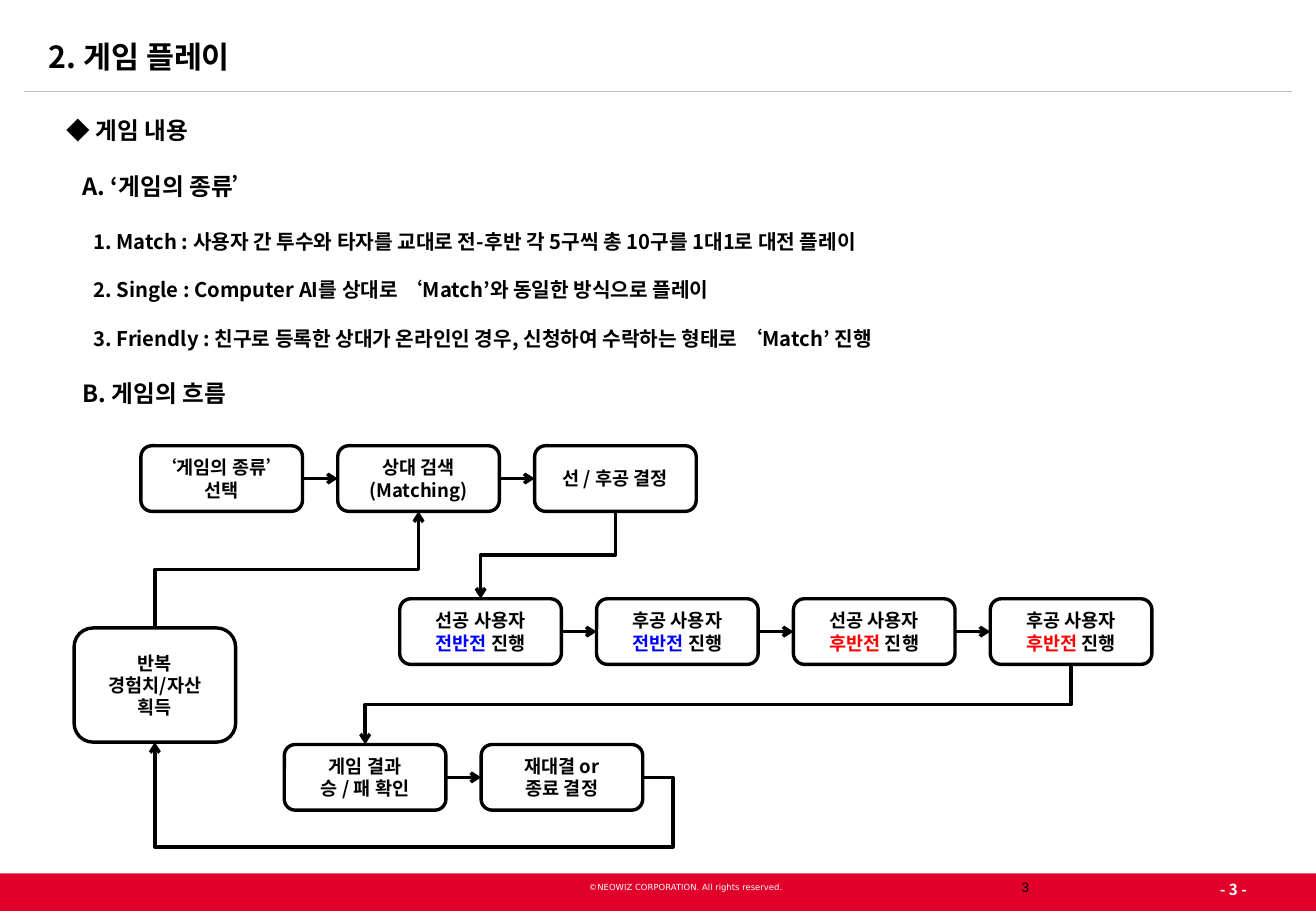
from lxml.etree import SubElement
from pptx import Presentation
from pptx.dml.color import RGBColor
from pptx.enum.shapes import MSO_CONNECTOR, MSO_SHAPE
from pptx.enum.text import MSO_ANCHOR, MSO_AUTO_SIZE, PP_ALIGN
from pptx.oxml.ns import qn
from pptx.util import Inches, Pt

THEME = {
    "ink": RGBColor(0, 0, 0), "paper": RGBColor(255, 255, 255),
    "first": RGBColor(0, 0, 255), "second": RGBColor(255, 0, 0),
    "band": RGBColor(225, 0, 42), "rule": RGBColor(191, 191, 191),
    "title": 18, "heading": 14, "item": 12, "step": 11, "page": 9, "number": 8, "legal": 5,
    "leading": 1.2, "stroke": 2, "hairline": 0.5,
    "korean": "Noto Sans CJK KR", "plain": "Arial", "fine": "DejaVu Sans",
}


def write(paragraph, text, size, color="ink", font="korean", bold=True):
    paragraph.line_spacing = Pt(THEME[size] * THEME["leading"])
    run = paragraph.add_run()
    run.text = text
    run.font.size, run.font.bold = Pt(THEME[size]), bold
    run.font.name = THEME[font]
    run.font.color.rgb = THEME[color]
    SubElement(run.font._element, qn("a:ea"), typeface=THEME[font])


def draw_line(kind, start, end, color, width):
    line = slide.shapes.add_connector(kind, *(Inches(v) for v in (*start, *end)))
    line.line.color.rgb, line.line.width = THEME[color], Pt(THEME[width])
    SubElement(line._element.spPr, qn("a:effectLst"))
    return line


deck = Presentation()
deck.slide_width, deck.slide_height = Inches(10.83), Inches(7.5)
slide = deck.slides.add_slide(deck.slide_layouts[1])

band = slide.shapes.add_shape(MSO_SHAPE.RECTANGLE, 0, Inches(7.19), deck.slide_width, Inches(0.31))
band.shadow.inherit = False
band.fill.solid()
band.fill.fore_color.rgb = THEME["band"]
band.line.fill.background()
draw_line(MSO_CONNECTOR.STRAIGHT, (0.2, 0.75), (10.63, 0.75), "rule", "hairline")

footer = [
    ((4.66, 7.26, 1.97, 0.15), 0, PP_ALIGN.CENTER, "©NEOWIZ CORPORATION. All rights reserved.",
     "legal", "paper", "fine", False),
    ((9.78, 7.2, 0.58, 0.24), 0.05, PP_ALIGN.RIGHT, "- 3 -", "page", "paper", "korean", True),
    ((8.31, 7.19, 2.53, 0.31), 0.05, PP_ALIGN.LEFT, "3", "number", "ink", "plain", False),
]
for place, inset, align, text, *style in footer:
    frame = slide.shapes.add_textbox(*map(Inches, place)).text_frame
    frame.word_wrap = True
    frame.margin_top = frame.margin_bottom = Inches(inset)
    frame.margin_left = frame.margin_right = Inches(inset * 2)
    frame.paragraphs[0].alignment = align
    write(frame.paragraphs[0], text, *style)

title, outline = slide.shapes.title, slide.placeholders[1]
for holder, place in ((title, (0.3, 0.26, 9, 0.4)), (outline, (0.45, 0.9, 9, 2.52))):
    holder.left, holder.top, holder.width, holder.height = map(Inches, place)
    holder.text_frame.word_wrap = True
    holder.text_frame.auto_size = MSO_AUTO_SIZE.NONE
    holder.text_frame.vertical_anchor = MSO_ANCHOR.TOP
heading = title.text_frame.paragraphs[0]
heading.alignment = PP_ALIGN.LEFT
write(heading, "2. 게임 플레이", "title")

entries = [
    ("◆ 게임 내용", "heading", 0, None),
    ("A. ‘게임의 종류’", "heading", 0.13, "heading"),
    ("1. Match : 사용자 간 투수와 타자를 교대로 전-후반 각 5구씩 총 10구를 1대1로 대전 플레이",
     "item", 0.22, "heading"),
    ("2. Single : Computer AI를 상대로 ‘Match’와 동일한 방식으로 플레이", "item", 0.22, "item"),
    ("3. Friendly : 친구로 등록한 상대가 온라인인 경우, 신청하여 수락하는 형태로 ‘Match’ 진행",
     "item", 0.22, "item"),
    ("B. 게임의 흐름", "heading", 0.13, "heading"),
]
for index, (text, size, indent, gap) in enumerate(entries):
    frame = outline.text_frame
    entry = frame.add_paragraph() if index else frame.paragraphs[0]
    entry.space_before = Pt(THEME[gap] * THEME["leading"] if gap else 0)
    properties = entry._p.get_or_add_pPr()
    properties.set("marL", str(Inches(indent)))
    properties.set("indent", "0")
    SubElement(properties, qn("a:buNone"))
    write(entry, text, size)

PITCH, STEP_WIDTH, STEP_HEIGHT = 1.62, 1.33, 0.54
flow_rows = [
    (1.16, 3.67, STEP_HEIGHT, {
        "kind": [["‘게임의 종류’"], ["선택"]],
        "matching": [["상대 검색"], ["(Matching)"]],
        "order": [["선 / 후공 결정"]]}),
    (3.29, 4.93, STEP_HEIGHT, {
        "first_lead": [["선공 사용자"], [("전반전", "first"), " 진행"]],
        "first_follow": [["후공 사용자"], [("전반전", "first"), " 진행"]],
        "second_lead": [["선공 사용자"], [("후반전", "second"), " 진행"]],
        "second_follow": [["후공 사용자"], [("후반전", "second"), " 진행"]]}),
    (2.34, 6.13, STEP_HEIGHT, {
        "result": [["게임 결과"], ["승 / 패 확인"]],
        "rematch": [["재대결 or"], ["종료 결정"]]}),
    (0.61, 5.17, 0.94, {"repeat": [["반복"], ["경험치/자산 획득"]]}),
]
steps = {}
for left, top, height, row in flow_rows:
    for column, (key, lines) in enumerate(row.items()):
        step = slide.shapes.add_shape(
            MSO_SHAPE.ROUNDED_RECTANGLE, Inches(left + column * PITCH), Inches(top),
            Inches(STEP_WIDTH), Inches(height))
        step.shadow.inherit = False
        step.fill.background()
        step.line.color.rgb, step.line.width = THEME["ink"], Pt(THEME["stroke"])
        frame = step.text_frame
        frame.word_wrap, frame.vertical_anchor = True, MSO_ANCHOR.MIDDLE
        for index, pieces in enumerate(lines):
            paragraph = frame.add_paragraph() if index else frame.paragraphs[0]
            paragraph.alignment = PP_ALIGN.CENTER
            for piece in pieces:
                text, color = (piece, "ink") if isinstance(piece, str) else piece
                write(paragraph, text, "step", color)
        steps[key] = step
steps["repeat"].fill.solid()
steps["repeat"].fill.fore_color.rgb = THEME["paper"]

TOP, LEFT, BOTTOM, RIGHT = range(4)
flow = [
    ("kind", RIGHT, "matching", LEFT), ("matching", RIGHT, "order", LEFT),
    ("order", BOTTOM, "first_lead", TOP), ("first_lead", RIGHT, "first_follow", LEFT),
    ("first_follow", RIGHT, "second_lead", LEFT), ("second_lead", RIGHT, "second_follow", LEFT),
    ("second_follow", BOTTOM, "result", TOP), ("result", RIGHT, "rematch", LEFT),
    ("rematch", RIGHT, "repeat", BOTTOM), ("repeat", TOP, "matching", BOTTOM),
]
for source, exit_side, target, entry_side in flow:
    straight = (exit_side, entry_side) == (RIGHT, LEFT)
    arrow = draw_line(MSO_CONNECTOR.STRAIGHT if straight else MSO_CONNECTOR.ELBOW,
                      (0, 0), (1, 1), "ink", "stroke")
    arrow.begin_connect(steps[source], exit_side)
    arrow.end_connect(steps[target], entry_side)
    properties = arrow._element.spPr
    SubElement(properties.find(qn("a:ln")), qn("a:tailEnd"), type="arrow")
    frame, geometry = properties.find(qn("a:xfrm")), properties.find(qn("a:prstGeom"))
    if exit_side in (TOP, BOTTOM):
        center_x, center_y = arrow.left + arrow.width // 2, arrow.top + arrow.height // 2
        arrow.width, arrow.height = arrow.height, arrow.width
        arrow.left, arrow.top = center_x - arrow.width // 2, center_y - arrow.height // 2
        frame.set("rot", "5400000")
        for flip in ("flipH", "flipV"):
            frame.set(flip, "1" if exit_side == TOP else "0")
    elif not straight:
        geometry.set("prst", "bentConnector4")
        for name, share in (("adj1", -6200), ("adj2", -197700)):
            SubElement(geometry.find(qn("a:avLst")), qn("a:gd"), name=name, fmla=f"val {share}")

deck.save("out.pptx")
